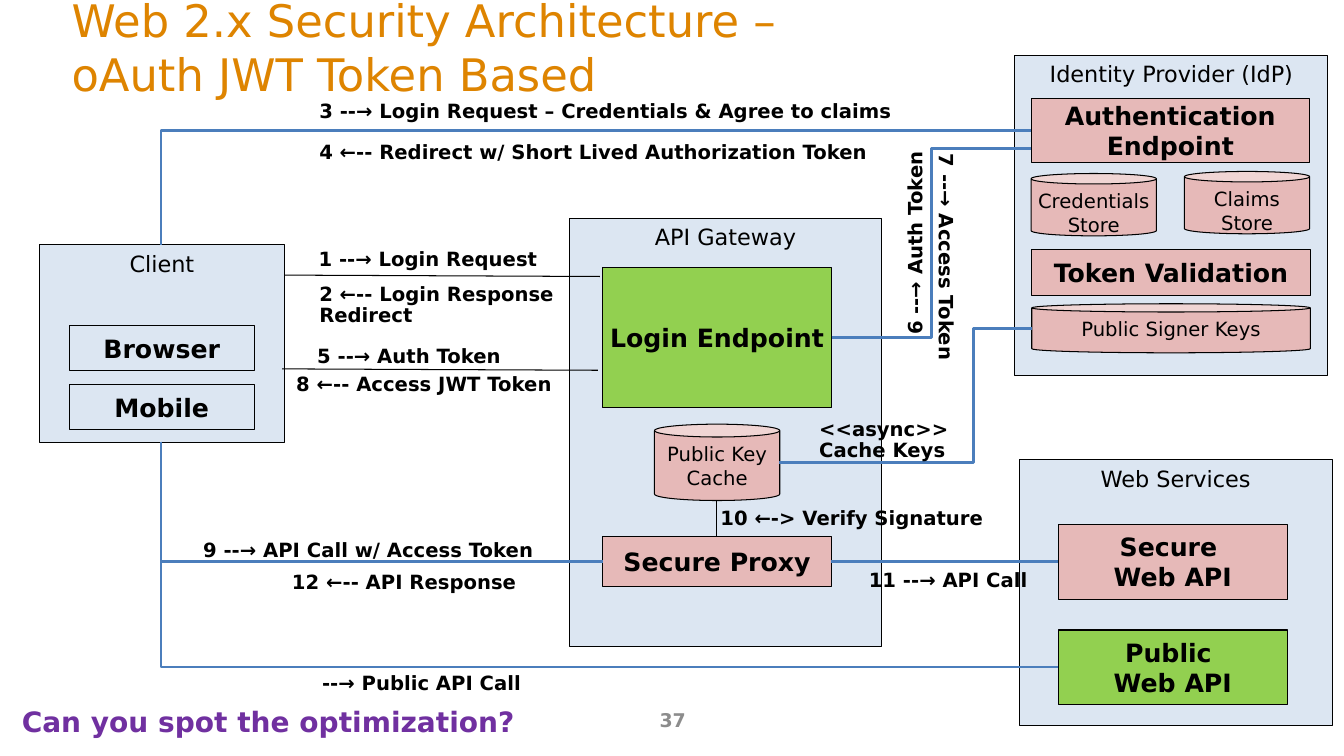
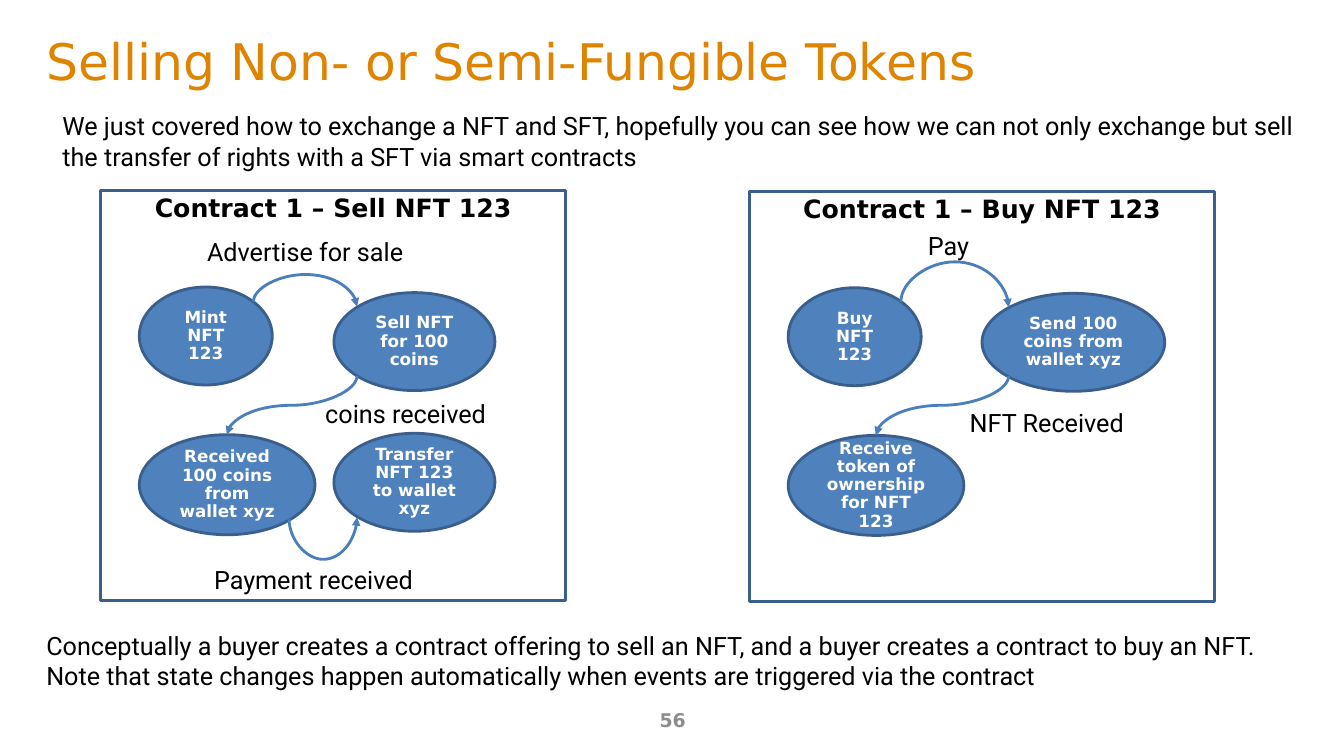
from lxml import etree
from pptx import Presentation
from pptx.dml.color import RGBColor
from pptx.enum.shapes import MSO_CONNECTOR, MSO_SHAPE
from pptx.enum.text import MSO_ANCHOR, PP_ALIGN
from pptx.oxml.ns import qn
from pptx.util import Pt

RECT, CAN, OVAL = MSO_SHAPE.RECTANGLE, MSO_SHAPE.CAN, MSO_SHAPE.OVAL
LINE, ELBOW, CURVE = MSO_CONNECTOR.STRAIGHT, MSO_CONNECTOR.ELBOW, MSO_CONNECTOR.CURVE
TOP, MIDDLE = MSO_ANCHOR.TOP, MSO_ANCHOR.MIDDLE
LEFT, CENTER = PP_ALIGN.LEFT, PP_ALIGN.CENTER

BLACK = RGBColor(0x00, 0x00, 0x00)
WHITE = RGBColor(0xFF, 0xFF, 0xFF)
ORANGE = RGBColor(0xDE, 0x84, 0x00)
GRAY = RGBColor(0x8C, 0x8C, 0x8C)
PURPLE = RGBColor(0x70, 0x30, 0xA0)
PALE = RGBColor(0xDC, 0xE6, 0xF2)
PINK = RGBColor(0xE6, 0xB9, 0xB8)
GREEN = RGBColor(0x92, 0xD0, 0x50)
BLUE = RGBColor(0x4F, 0x81, 0xBD)
NAVY = RGBColor(0x3A, 0x5F, 0x8C)
WIRE = RGBColor(0x4B, 0x7E, 0xBC)

MAIN, BODY = "DejaVu Sans", "Roboto"


def font(size, color=BLACK, bold=False, name=MAIN):
    return {"size": Pt(size), "bold": bold, "name": name, "color": color}


PAGE = font(13.5, GRAY, True)
GROUP = font(16)
NODE = font(18, bold=True)
STORE = font(14)
STEP = font(14, bold=True)
STATE = font(12, WHITE, True)
PROSE = font(18, name=BODY)
QUIZ = font(20, PURPLE, True)

# Slide 1: text, left, top, width, height (points)
GROUPS = [
    ("API Gateway", 406.5, 156, 223.5, 306),
    ("Client", 28.5, 175, 174.5, 141),
    ("Web Services", 728, 328.5, 223.5, 190),
    ("Identity Provider (IdP)", 725, 39.5, 223.5, 228.5),
]
NODES = [
    ("Secure Proxy", 430.5, 383, 163.5, 36, PINK),
    ("Login Endpoint", 430.5, 191, 163.5, 100, GREEN),
    ("Browser", 49.5, 232.5, 132, 32.5, PALE),
    ("Mobile", 49.5, 274.5, 132, 32.5, PALE),
    ("Secure \nWeb API", 756, 374.5, 163.5, 53.5, PINK),
    ("Public \nWeb API", 756, 450, 163.5, 53.5, GREEN),
    ("Authentication\nEndpoint", 736.5, 70.5, 199, 45.5, PINK),
    ("Token Validation", 737, 178.5, 199, 32.5, PINK),
]
STORES = [
    ("Public Key\nCache", 467.5, 303, 89.5, 54.5),
    ("Credentials\nStore", 736.5, 124, 89.5, 44.5),
    ("Claims\nStore", 846, 122.5, 89.5, 44.5),
    ("Public Signer Keys", 737, 217, 199, 35),
]
# text, left, top, width, rotation
STEPS = [
    ("1 --→ Login Request", 220.5, 175, 186, 0),
    ("2 ←-- Login Response\nRedirect", 221, 199.5, 186, 0),
    ("3 --→ Login Request – Credentials & Agree to claims", 221, 69, 428, 0),
    ("4 ←-- Redirect w/ Short Lived Authorization Token", 221, 98, 426, 0),
    ("5 --→ Auth Token", 219.5, 244, 186, 0),
    ("6 --→ Auth Token", 561.5, 142, 186, 270),
    ("7 --→ Access Token", 582, 184.5, 186, 90),
    ("8 ←-- Access JWT Token", 204.5, 264, 206.5, 0),
    ("9 --→ API Call w/ Access Token", 138, 382.5, 287, 0),
    ("10 ←-> Verify Signature", 507.5, 360, 209.5, 0),
    ("11 --→ API Call", 613.5, 404, 140.5, 0),
    ("12 ←-- API Response", 201.5, 405.5, 181.5, 0),
    ("--→ Public API Call", 223, 477.5, 163, 0),
    ("<<async>>\nCache Keys", 578, 296, 120, 0),
]
THIN = [
    ((203, 196.5), (428.5, 197.5)),
    ((201.5, 263.5), (427, 264.5)),
    ((512, 383), (512, 358)),
]
CORNERS = [
    ((115, 315.5), (756, 476.5)),
    ((115, 175), (736.5, 93.5)),
    ((115, 315.5), (430.5, 401)),
]
# start, end, x of the turn
BENDS = [
    ((594, 241), (736.5, 106), 665.5),
    ((556.5, 330.5), (737, 234.5), 695.5),
]

# Slide 2: places are relative to the corner of each contract
INTRO = ("We just covered how to exchange a NFT and SFT, hopefully you can see how we can "
         "not only exchange but sell the transfer of rights with a SFT via smart contracts")
CLOSE = ("Conceptually a buyer creates a contract offering to sell an NFT, and a buyer creates "
         "a contract to buy an NFT. Note that state changes happen automatically when events "
         "are triggered via the contract")
CONTRACTS = [
    {
        "title": "Contract 1 – Sell NFT 123",
        "at": (72, 136),
        "states": [
            ("Mint NFT\n123", 27.5, 69, 95, 70),
            ("Sell NFT for 100 coins", 166.5, 73, 115, 70),
            ("Received\n100 coins from wallet xyz", 27.5, 174.5, 125.5, 71.5),
            ("Transfer NFT 123 to wallet xyz", 166.5, 173.5, 115, 70),
        ],
        # start, end, y of the turn
        "arrows": [
            ((109, 79.5), (183, 83), 60),
            ((183, 132.5), (90, 174.5), 153.5),
            ((134.5, 235), (183, 233.5), 263.5),
        ],
        "events": [
            ("Advertise for sale", 68.5, 32, 155),
            ("coins received", 152.5, 147.5, 130.5),
            ("Payment received", 72, 266, 160),
        ],
    },
    {
        "title": "Contract 1 – Buy NFT 123",
        "at": (535.5, 137),
        "states": [
            ("Buy NFT 123", 27.5, 68.5, 95, 70),
            ("Send 100 coins from wallet xyz", 166, 72.5, 130.5, 70),
            ("Receive token of ownership for NFT 123", 27.5, 174, 125.5, 71.5),
        ],
        "arrows": [
            ((108, 78.5), (185, 82.5), 50),
            ((185, 131.5), (90, 174), 152.5),
        ],
        "events": [
            ("Pay", 119, 26.5, 46),
            ("NFT Received", 147, 152.5, 130.5),
        ],
    },
]


def write(shape, text, style, align, anchor, wrap, pitch):
    frame = shape.text_frame
    frame.word_wrap, frame.vertical_anchor = wrap, anchor
    para = frame.paragraphs[0]
    para.text = text.replace("\n", "\v")
    para.alignment, para.line_spacing = align, pitch
    for run in para.runs:
        for key, value in style.items():
            if key == "color":
                run.font.color.rgb = value
            else:
                setattr(run.font, key, value)


def label(slide, text, box, style, align=LEFT, anchor=TOP, wrap=True, pitch=0.9, turn=0):
    shape = slide.shapes.add_textbox(*map(Pt, box))
    shape.rotation = turn
    write(shape, text, style, align, anchor, wrap, pitch)


def block(slide, kind, text, box, style, fill=None, edge=(BLACK, 0.75),
          anchor=MIDDLE, wrap=False, pitch=1.0):
    shape = slide.shapes.add_shape(kind, *map(Pt, box))
    shape.shadow.inherit = False
    if fill is None:
        shape.fill.background()
    else:
        shape.fill.solid()
        shape.fill.fore_color.rgb = fill
    shape.line.color.rgb, shape.line.width = edge[0], Pt(edge[1])
    if kind == CAN:
        shape.adjustments[0] = 0.168
    write(shape, text, style, CENTER, anchor, wrap, pitch)


def wire(slide, kind, start, end, color=WIRE, width=2, ratio=None):
    """Draw a connector; ratio places its turn between start and end."""
    link = slide.shapes.add_connector(kind, *map(Pt, start + end))
    link.line.color.rgb, link.line.width = color, Pt(width)
    props = link._element.spPr
    etree.SubElement(props, qn("a:effectLst"))
    if ratio is not None:
        guides = props.find(qn("a:prstGeom")).find(qn("a:avLst"))
        etree.SubElement(guides, qn("a:gd"), name="adj1", fmla=f"val {round(ratio * 100000)}")
    return link


def upright(slide, kind, start, end, ratio=None):
    """Draw a connector that leaves its start vertically, by a quarter turn of its box."""
    (x1, y1), (x2, y2) = start, end
    right, down = x2 > x1, y2 > y1
    midx, midy = (x1 + x2) / 2, (y1 + y2) / 2
    dx = abs(y2 - y1) / 2 * (-1 if right else 1)
    dy = abs(x2 - x1) / 2 * (1 if down else -1)
    link = wire(slide, kind, (midx - dx, midy - dy), (midx + dx, midy + dy), ratio=ratio)
    angle = 270 if right and down else 90
    link._element.spPr.find(qn("a:xfrm")).set("rot", str(angle * 60000))
    return link


def corner(slide, start, end):
    link = upright(slide, ELBOW, start, end)
    link._element.spPr.find(qn("a:prstGeom")).set("prst", "bentConnector2")


def arrow(slide, start, end, turn):
    link = upright(slide, CURVE, start, end, (turn - start[1]) / (end[1] - start[1]))
    etree.SubElement(link.line._get_or_add_ln(), qn("a:tailEnd"), type="triangle")


def begin(deck, title, box, size, page):
    slide = deck.slides.add_slide(deck.slide_layouts[6])
    label(slide, page, (328.5, 500.5, 304, 29), PAGE, CENTER, MIDDLE)
    label(slide, title, box, font(size, ORANGE), anchor=MIDDLE, pitch=1.0)
    return slide


def security(deck):
    slide = begin(deck, "Web 2.x Security Architecture –\noAuth JWT Token Based",
                  (44, 6, 876, 54.5), 32, "37")
    for text, *box in GROUPS:
        block(slide, RECT, text, box, GROUP, PALE, anchor=TOP)
    for text, *box, fill in NODES:
        block(slide, RECT, text, box, NODE, fill)
    for text, *box in STORES:
        block(slide, CAN, text, box, STORE, PINK, anchor=TOP)
    for start, end in THIN:
        wire(slide, LINE, start, end, BLACK, 0.75)
    for start, end in CORNERS:
        corner(slide, start, end)
    for start, end, turn in BENDS:
        wire(slide, ELBOW, start, end, ratio=(turn - start[0]) / (end[0] - start[0]))
    wire(slide, LINE, (593.5, 401), (756, 401))
    for text, x, y, width, turn in STEPS:
        label(slide, text, (x, y, width, 22.5), STEP, turn=turn)
    label(slide, "Can you spot the optimization?", (8.5, 502.5, 858, 29), QUIZ)


def selling(deck):
    slide = begin(deck, "Selling Non- or Semi-Fungible Tokens", (26, 16, 861, 54.5), 36, "56")
    for text, x, y in ((INTRO, 37.5, 75.5), (CLOSE, 26, 446.5)):
        label(slide, text, (x, y, 914, 51), PROSE, pitch=1.0)
    edge = (NAVY, 2)
    for deal in CONTRACTS:
        left, top = deal["at"]
        block(slide, RECT, deal["title"], (left, top, 332, 293), NODE,
              edge=edge, anchor=TOP, wrap=True, pitch=0.9)
        for text, x, y, *size in deal["states"]:
            block(slide, OVAL, text, (left + x, top + y, *size), STATE, BLUE,
                  edge, wrap=True, pitch=0.9)
        for (x1, y1), (x2, y2), turn in deal["arrows"]:
            arrow(slide, (left + x1, top + y1), (left + x2, top + y2), top + turn)
        for text, x, y, width in deal["events"]:
            label(slide, text, (left + x, top + y, width, 27.5), PROSE, CENTER, wrap=False)


def main():
    deck = Presentation()
    deck.slide_width, deck.slide_height = Pt(960), Pt(540)
    security(deck)
    selling(deck)
    deck.save("out.pptx")


if __name__ == "__main__":
    main()
